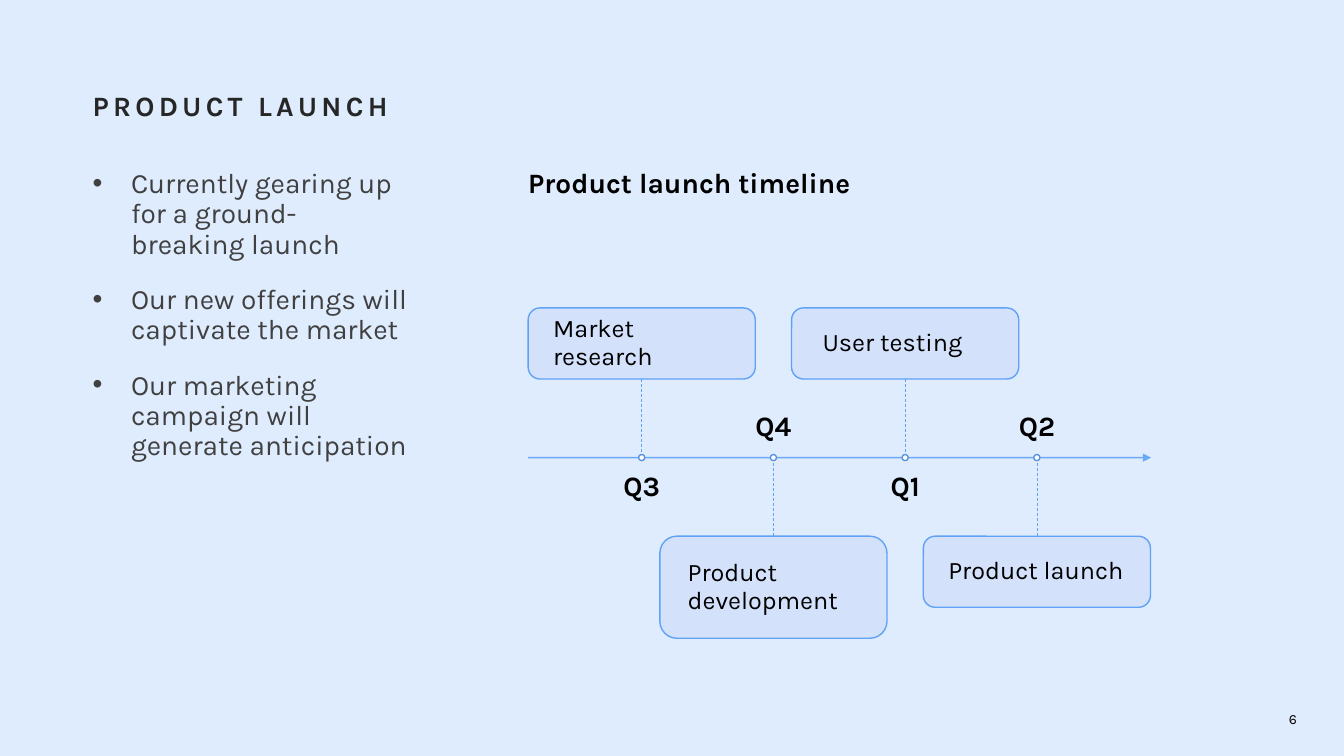
from lxml import etree
from pptx import Presentation
from pptx.dml.color import RGBColor
from pptx.enum.dml import MSO_LINE
from pptx.enum.shapes import MSO_CONNECTOR, MSO_SHAPE
from pptx.enum.text import MSO_ANCHOR, MSO_AUTO_SIZE, PP_ALIGN
from pptx.oxml.ns import qn
from pptx.util import Inches, Pt

TOP, MIDDLE, BOTTOM = MSO_ANCHOR.TOP, MSO_ANCHOR.MIDDLE, MSO_ANCHOR.BOTTOM
LEFT, CENTER, RIGHT = PP_ALIGN.LEFT, PP_ALIGN.CENTER, PP_ALIGN.RIGHT
ROUNDED, OVAL = MSO_SHAPE.ROUNDED_RECTANGLE, MSO_SHAPE.OVAL
DASH, STRAIGHT = MSO_LINE.DASH, MSO_CONNECTOR.STRAIGHT

COLORS = {"background": "DFECFD", "title": "262626", "bullets": "404040",
          "text": "000000", "card": "D2E0FB", "line": "60A2F5",
          "dot": "FFFFFF", "dot_line": "5793DE"}

# Text formats
TITLE = {"size": Pt(20), "bold": True, "color": "title"}
BULLETS = {"size": Pt(20), "bold": False, "color": "bullets"}
HEADING = {"size": Pt(20), "bold": True, "color": "text"}
CARD = {"size": Pt(18), "bold": False, "color": "text"}
NUMBER = {"size": Pt(10), "bold": False, "color": "text"}

# Layout in percent of the slide's width (x) and height (y)
SLIDE_W, SLIDE_H = Inches(13.33), Inches(7.5)
MARGIN, AXIS_X, AXIS_END = 6.9, 39.3, 85.65
FIRST_X, STEP_X = 47.75, 9.8
AXIS_Y, STEM_H = 60.53, 10.4
CARD_W, CARD_H, TALL_H = 16.9, 9.4, 13.5
LABEL_W, LABEL_H, LABEL_GAP = 14.85, 6.27, 2
DOT = 0.45

# Quarter, milestone, card above the axis, card height, left inset
MILESTONES = [
    ("Q3", "Market research", True, CARD_H, 1.6),
    ("Q4", "Product development", False, TALL_H, 1.7),
    ("Q1", "User testing", True, CARD_H, 2.05),
    ("Q2", "Product launch", False, CARD_H, 1.6),
]


def x(share):
    return round(SLIDE_W * share / 100)


def y(share):
    return round(SLIDE_H * share / 100)


def box(left, top, width, height):
    return x(left), y(top), x(width), y(height)


def rgb(name):
    return RGBColor.from_string(COLORS[name])


def set_alpha(fill_parent, percent):
    clr = fill_parent.find(qn("a:solidFill"))[0]
    etree.SubElement(clr, qn("a:alpha")).set("val", str(percent * 1000))


def write(s, texts, style, align=LEFT, anchor=TOP, inset=0, after=0, spacing=0.9):
    tf = s.text_frame
    frame = {"word_wrap": True, "auto_size": MSO_AUTO_SIZE.NONE,
             "vertical_anchor": anchor, "margin_left": x(inset),
             "margin_right": x(inset), "margin_top": 0, "margin_bottom": 0}
    for name, value in frame.items():
        setattr(tf, name, value)
    para = {"alignment": align, "line_spacing": spacing,
            "space_before": Pt(0), "space_after": Pt(after)}
    for i, text in enumerate(texts):
        p = tf.paragraphs[0] if i == 0 else tf.add_paragraph()
        for name, value in para.items():
            setattr(p, name, value)
        r = p.add_run()
        r.text = text
        r.font.name = "Karla"
        r.font.color.rgb = rgb(style["color"])
        for name in ("size", "bold"):
            setattr(r.font, name, style[name])
    return tf


def set_bullet(p, char=None, indent=0):
    pPr = p._p.get_or_add_pPr()
    pPr.set("marL", str(Inches(indent)))
    pPr.set("indent", str(-Inches(indent)))
    if char:
        etree.SubElement(pPr, qn("a:buChar")).set("char", char)
    else:
        etree.SubElement(pPr, qn("a:buNone"))


def place(s, area):
    for name, value in zip(("left", "top", "width", "height"), area):
        setattr(s, name, value)
    return s


def add_text(slide, area, *args, **kwargs):
    return write(slide.shapes.add_textbox(*area), *args, **kwargs)


def add_shape(slide, kind, area, fill, line):
    s = slide.shapes.add_shape(kind, *area)
    s.shadow.inherit = False
    s.fill.solid()
    s.fill.fore_color.rgb = rgb(fill)
    s.line.color.rgb = rgb(line)
    s.line.width = Pt(1)
    return s


def add_line(slide, x1, y1, x2, y2, width):
    c = slide.shapes.add_connector(STRAIGHT, x(x1), y(y1), x(x2), y(y2))
    c.line.color.rgb = rgb("line")
    c.line.width = Pt(width)
    etree.SubElement(c._element.spPr, qn("a:effectLst"))
    return c


def add_axis(slide):
    axis = add_line(slide, AXIS_X, AXIS_Y, AXIS_END, AXIS_Y, 1)
    ln = axis.line._get_or_add_ln()
    set_alpha(ln, 90)
    etree.SubElement(ln, qn("a:tailEnd")).set("type", "triangle")


def add_milestone(slide, center, quarter, name, above, height, inset):
    # Card and its stem
    stem_end = AXIS_Y - STEM_H if above else AXIS_Y + STEM_H
    top = stem_end - height if above else stem_end
    card = add_shape(slide, ROUNDED, box(center - CARD_W / 2, top, CARD_W, height),
                     "card", "line")
    set_alpha(card._element.spPr, 90)
    write(card, [name], CARD, anchor=MIDDLE, inset=inset)
    add_line(slide, center, stem_end, center, AXIS_Y, 0.5).line.dash_style = DASH

    # Quarter label on the other side of the axis
    label_top = AXIS_Y + LABEL_GAP if above else AXIS_Y - LABEL_GAP - LABEL_H
    add_text(slide, box(center - LABEL_W / 2, label_top, LABEL_W, LABEL_H),
             [quarter], HEADING, align=CENTER, anchor=TOP if above else BOTTOM)

    # Dot on the axis
    size = x(DOT)
    add_shape(slide, OVAL, (x(center) - size // 2, y(AXIS_Y) - size // 2, size, size),
              "dot", "dot_line")


def main():
    prs = Presentation()
    prs.slide_width, prs.slide_height = SLIDE_W, SLIDE_H
    slide = prs.slides.add_slide(prs.slide_layouts[3])
    slide.background.fill.solid()
    slide.background.fill.fore_color.rgb = rgb("background")
    title, bullets, heading = slide.placeholders

    # Title
    place(title, box(MARGIN, 12.27, 86, 8.13))
    tf = write(title, ["PRODUCT LAUNCH"], TITLE)
    tf.paragraphs[0].runs[0].font._element.set("spc", "300")

    # Bullet list
    place(bullets, box(MARGIN, 22.4, 23.5, 65.33))
    tf = write(bullets, ["Currently gearing up for a ground-breaking launch",
                         "Our new offerings will captivate the market",
                         "Our marketing campaign will generate anticipation"],
               BULLETS, after=18)
    for p in tf.paragraphs:
        set_bullet(p, "•", 0.38)

    # Timeline
    place(heading, box(AXIS_X, 22.4, AXIS_END - AXIS_X, 8.13))
    tf = write(heading, ["Product launch timeline"], HEADING)
    set_bullet(tf.paragraphs[0])
    add_axis(slide)
    for i, milestone in enumerate(MILESTONES):
        add_milestone(slide, FIRST_X + i * STEP_X, *milestone)

    # Slide number
    add_text(slide, box(89.6, 93.07, 6.9, 4.13), ["6"], NUMBER,
             align=RIGHT, anchor=MIDDLE, spacing=1.0)
    prs.save("out.pptx")


if __name__ == "__main__":
    main()
